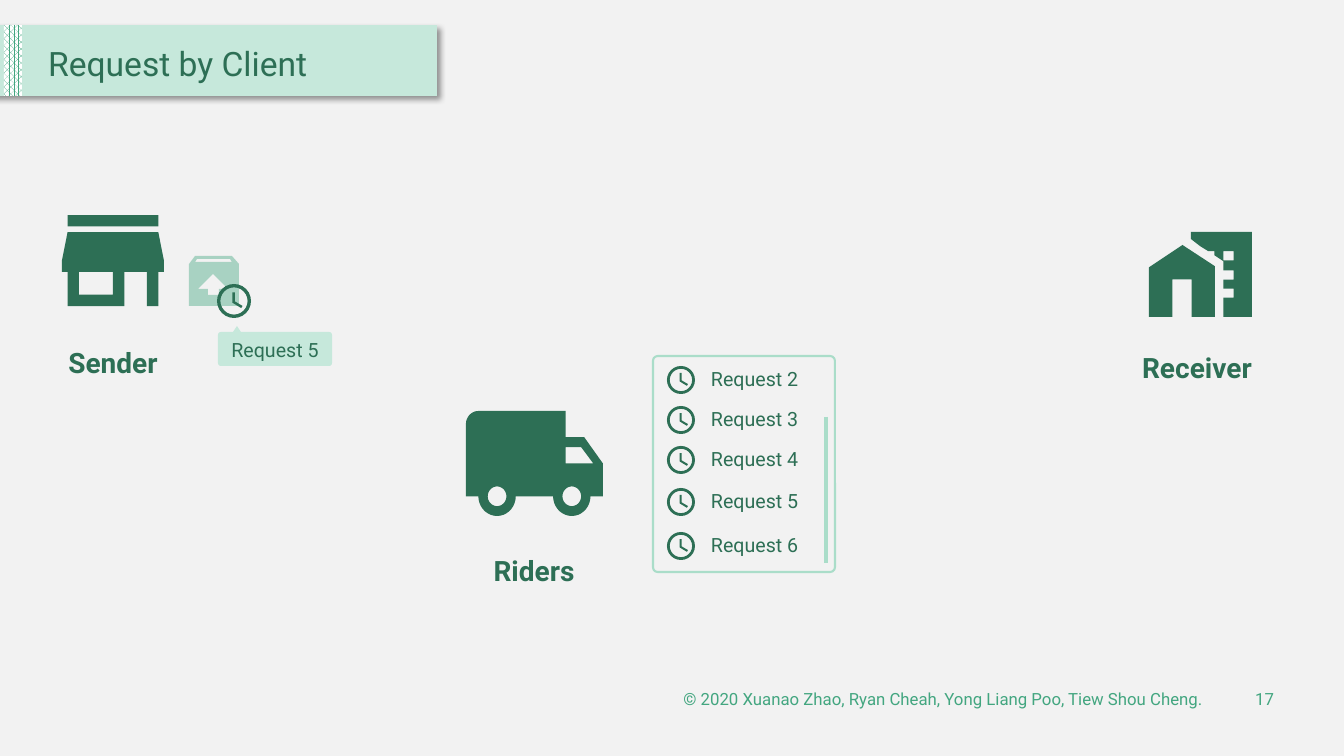
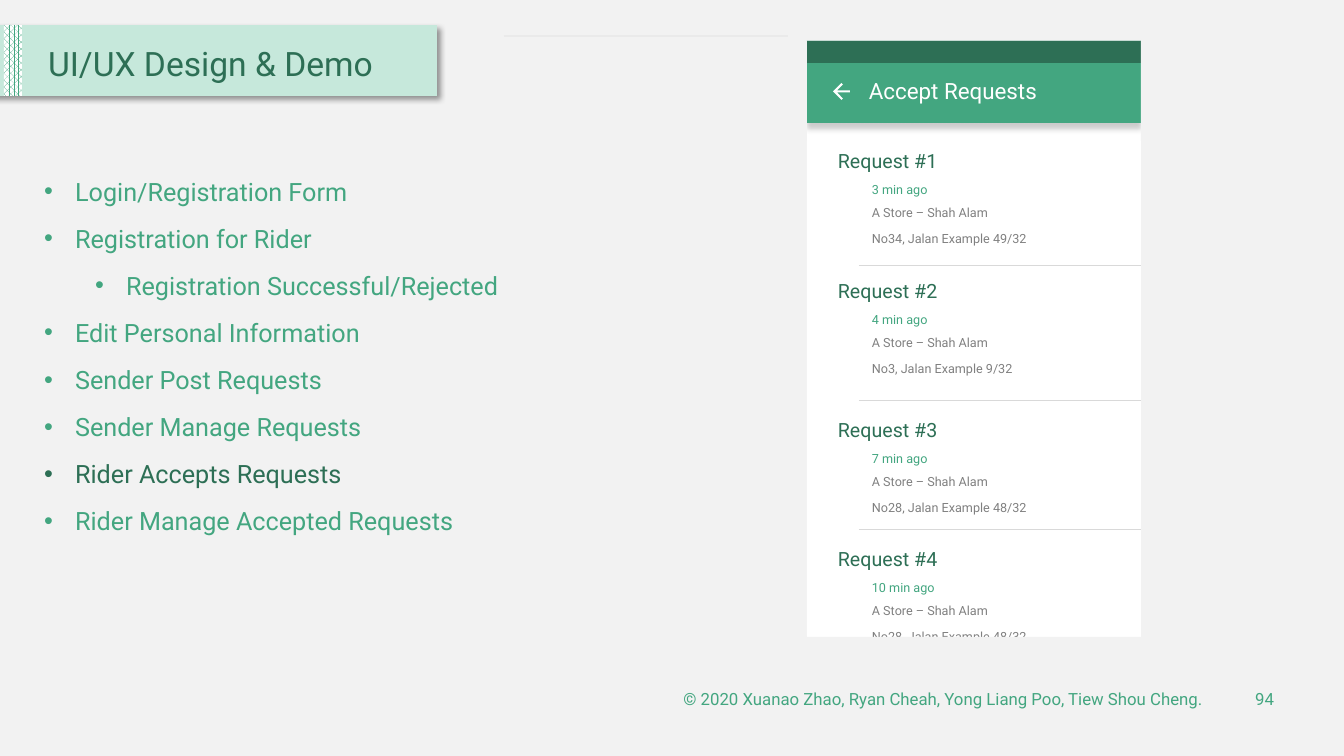
from math import cos, radians, sin

from lxml import etree
from pptx import Presentation
from pptx import util as u
from pptx.dml.color import RGBColor
from pptx.enum import dml, shapes, text
from pptx.oxml import ns

EMU_PER_PX = 914400 / 100.8
FONT = "Roboto"
COPYRIGHT = "© 2020 Xuanao Zhao, Ryan Cheah, Yong Liang Poo, Tiew Shou Cheng."
COLORS = {
    "page": "F2F2F2", "dark": "2D6F55", "green": "43A680", "mint": "C6E8DB",
    "frame": "AADDC9", "white": "FFFFFF", "gray": "808080", "rule": "D9D9D9",
    "edge": "EAEAEA", "black": "000000",
}
LEFT, CENTER, RIGHT = text.PP_ALIGN.LEFT, text.PP_ALIGN.CENTER, text.PP_ALIGN.RIGHT
TOP, MIDDLE = text.MSO_ANCHOR.TOP, text.MSO_ANCHOR.MIDDLE


def px(length):
    return u.Emu(round(length * EMU_PER_PX))


def rgb(color):
    return RGBColor.from_string(COLORS[color])


def sub(parent, tag, **attributes):
    return etree.SubElement(parent, ns.qn(tag), {k: str(v) for k, v in attributes.items()})


def arc(cx, cy, radius, start, end, step=10):
    """Points on a circle; angles in degrees, clockwise from the right."""
    step = step if end > start else -step
    return [(cx + radius * cos(radians(a)), cy + radius * sin(radians(a)))
            for a in range(start, end + step, step)]


# Icon outlines, each on its own grid
STORE = [
    [(1, 0), (17, 0), (17, 2), (1, 2)],
    [(18, 10), (18, 8), (17, 3), (1, 3), (0, 8), (0, 10), (1, 10), (1, 16),
     (11, 16), (11, 10), (15, 10), (15, 16), (17, 16), (17, 10)],
    [(9, 14), (3, 14), (3, 10), (9, 10)],
]
PARCEL = [
    [(43, 0), (6, 0), (0, 8), (0, 50), (50, 50), (50, 8)],
    [(30, 33), (30, 39), (19, 39), (19, 33), (9, 33), (24, 18), (39, 33)],
    [(6, 6), (8, 3), (41, 3), (43, 6)],
]
HOUSE = [[(33, 0), (0, 22), (0, 71), (23, 71), (23, 34), (42, 34), (42, 71), (65, 71), (65, 21)]]
OFFICE = [
    [(0, 0), (0, 7), (9, 14), (17, 19), (23, 19), (23, 23), (32, 29), (32, 38), (42, 38),
     (42, 47), (32, 47), (32, 56), (42, 56), (42, 65), (32, 65), (32, 84), (60, 84), (60, 0)],
    [(42, 28), (32, 28), (32, 19), (42, 19)],
]
TRUCK = [
    [(19, 4), (16, 4), (16, 0), *arc(2, 2, 2, 270, 180), (0, 13), *arc(5, 13, 3, 180, 0),
     *arc(17, 13, 3, 180, 0), (22, 13), (22, 8)],
    [(18.5, 5.5), (20.46, 8), (16, 8), (16, 5.5)],
    arc(5, 13, 1.5, 0, 350),
    arc(17, 13, 1.5, 0, 350),
]
CLOCK_HANDS = [[(10.5, 5), (9, 5), (9, 11), (14.25, 14.15), (15, 12.92), (10.5, 10.25)]]
BACK_ARROW = [[(16, 7), (3.83, 7), (9.42, 1.41), (8, 0), (0, 8), (8, 16),
               (9.41, 14.59), (3.83, 9), (16, 9)]]
CALLOUT = [[(19, 0), (23, 6), *arc(111, 9, 3, 270, 360), *arc(111, 37, 3, 0, 90),
            *arc(3, 37, 3, 90, 180), *arc(3, 9, 3, 180, 270), (15, 6)]]


# Drawing helpers
def paint(shape, color):
    shape.shadow.inherit = False
    shape.line.fill.background()
    if color:
        shape.fill.solid()
        shape.fill.fore_color.rgb = rgb(color)
    else:
        shape.fill.background()
    return shape


def block(slide, box, color, preset=shapes.MSO_SHAPE.RECTANGLE):
    return paint(slide.shapes.add_shape(preset, *map(px, box)), color)


def cast_shadow(shape, color, distance, direction):
    effects = shape.element.spPr.find(ns.qn("a:effectLst"))
    outer = sub(effects, "a:outerShdw", blurRad=u.Pt(4), dist=u.Pt(distance),
                dir=direction * 60000, algn="tl", rotWithShape=0)
    sub(sub(outer, "a:srgbClr", val=COLORS[color]), "a:alpha", val=40000)


def outline(slide, box, grid, contours, color):
    left, top, width, height = box
    scaled = [[(px(x * width / grid[0]), px(y * height / grid[1])) for x, y in contour]
              for contour in contours]
    builder = slide.shapes.build_freeform(*scaled[0][0], scale=1.0)
    for index, points in enumerate(scaled):
        if index:
            builder.move_to(*points[0])
        builder.add_line_segments(points[1:], close=True)
    return paint(builder.convert_to_shape(px(left), px(top)), color)


def rule(slide, start, end, color, width):
    line = slide.shapes.add_connector(shapes.MSO_CONNECTOR.STRAIGHT, *map(px, start + end))
    line.line.color.rgb = rgb(color)
    line.line.width = u.Pt(width)
    sub(line.element.spPr, "a:effectLst")


def add_run(paragraph, words, size, color, bold=False):
    run = paragraph.add_run()
    run.text = words
    run.font.name, run.font.size, run.font.bold = FONT, u.Pt(size), bold
    run.font.color.rgb = rgb(color)


def label(slide, box, words, size, color, align=LEFT, anchor=TOP, bold=False):
    frame = slide.shapes.add_textbox(*map(px, box)).text_frame
    frame.word_wrap = True
    frame.vertical_anchor = anchor
    frame.paragraphs[0].alignment = align
    add_run(frame.paragraphs[0], words, size, color, bold)


def place(placeholder, box, anchor):
    placeholder.left, placeholder.top, placeholder.width, placeholder.height = map(px, box)
    frame = placeholder.text_frame
    frame.auto_size = text.MSO_AUTO_SIZE.NONE
    frame.word_wrap = True
    frame.vertical_anchor = anchor
    return frame


# Shared parts
def set_up_master(prs, slide):
    master = prs.slide_master
    master.background.fill.solid()
    master.background.fill.fore_color.rgb = rgb("page")
    band = block(slide, (-21, 25, 458, 71), "mint")
    cast_shadow(band, "black", 3, 45)
    stripe = block(slide, (4, 25, 18, 71), None)
    stripe.fill.patterned()
    stripe.fill.pattern = dml.MSO_PATTERN.PERCENT_70
    stripe.fill.fore_color.rgb = rgb("green")
    stripe.fill.back_color.rgb = rgb("white")
    for number, part in enumerate((band, stripe), start=20):
        part.element.nvSpPr.cNvPr.set("id", str(number))
        master.shapes.element.append(part.element)


def title_and_footer(slide, title, page):
    paragraph = place(slide.shapes.title, (38, 36, 399, 60), MIDDLE).paragraphs[0]
    paragraph.alignment = LEFT
    paragraph.line_spacing = 0.9
    add_run(paragraph, title, 24, "dark")
    label(slide, (549, 679, 664, 40), COPYRIGHT, 12, "green", RIGHT, MIDDLE)
    label(slide, (1225, 679, 59, 40), page, 12, "green", RIGHT, MIDDLE)


# Request by Client
def clock(slide, left, top, size):
    ring = block(slide, (left, top, size, size), "dark", shapes.MSO_SHAPE.DONUT)
    ring.adjustments[0] = 0.1
    outline(slide, (left, top, size, size), (20, 20), CLOCK_HANDS, "dark")


def sender(slide, left, top):
    outline(slide, (left, top, 102, 91), (18, 16), STORE, "dark")
    label(slide, (left - 17, top + 126, 136, 44), "Sender", 20, "dark", CENTER, bold=True)
    parcel = outline(slide, (left + 127, top + 41, 50, 50), (50, 50), PARCEL, "green")
    sub(parcel.element.spPr.find(".//" + ns.qn("a:srgbClr")), "a:alpha", val=42000)
    clock(slide, left + 155, top + 69, 34)
    callout = outline(slide, (left + 156, top + 111, 114, 40), (114, 40), CALLOUT, "mint")
    frame = callout.text_frame
    frame.word_wrap = False
    frame.vertical_anchor = text.MSO_ANCHOR.BOTTOM
    frame.paragraphs[0].alignment = CENTER
    add_run(frame.paragraphs[0], "Request 5", 14, "dark")


def receiver(slide, left, top):
    outline(slide, (left, top + 13, 66, 72), (65, 71), HOUSE, "dark")
    outline(slide, (left + 42, top, 61, 85), (60, 84), OFFICE, "dark")
    label(slide, (left - 26, top + 114, 148, 42), "Receiver", 20, "dark", CENTER, bold=True)


def riders(slide, left, top):
    outline(slide, (left, top, 137, 105), (22, 16), TRUCK, "dark")
    label(slide, (left + 11, top + 138, 114, 42), "Riders", 20, "dark", CENTER, bold=True)


def request_queue(slide, left, top):
    frame = block(slide, (left, top, 182, 216), None, shapes.MSO_SHAPE.ROUNDED_RECTANGLE)
    frame.adjustments[0] = 0.026
    frame.line.color.rgb = rgb("frame")
    frame.line.width = u.Pt(1.5)
    for number, offset in enumerate((10, 50, 90, 132, 176), start=2):
        clock(slide, left + 14, top + offset, 28)
        label(slide, (left + 48, top + offset - 4, 126, 34), f"Request {number}", 14, "dark")
    rule(slide, (left + 173, top + 61), (left + 173, top + 207), "frame", 3)


def request_slide(slide):
    title_and_footer(slide, "Request by Client", "17")
    sender(slide, 62, 215)
    receiver(slide, 1149, 232)
    riders(slide, 466, 411)
    request_queue(slide, 653, 356)


# UI/UX Design & Demo
TOPICS = [
    ("Login/Registration Form", 0), ("Registration for Rider", 0),
    ("Registration Successful/Rejected", 1), ("Edit Personal Information", 0),
    ("Sender Post Requests", 0), ("Sender Manage Requests", 0),
    ("Rider Accepts Requests", 0), ("Rider Manage Accepted Requests", 0),
]
CURRENT_TOPIC = "Rider Accepts Requests"
# Top of each card within the phone, age, address
REQUESTS = [
    (103, "3 min ago", "No34, Jalan Example 49/32"),
    (233, "4 min ago", "No3, Jalan Example 9/32"),
    (372, "7 min ago", "No28, Jalan Example 48/32"),
    (501, "10 min ago", "No28, Jalan Example 48/32"),
]


def topic_list(placeholder, box):
    frame = place(placeholder, box, TOP)
    for index, (topic, level) in enumerate(TOPICS):
        paragraph = frame.add_paragraph() if index else frame.paragraphs[0]
        paragraph.level = level
        properties = paragraph._p.get_or_add_pPr()
        properties.set("marL", str(px(31 + 51 * level)))
        properties.set("indent", str(-px(31)))
        sub(properties, "a:buFont", typeface="Arial")
        sub(properties, "a:buChar", char="•")
        paragraph.space_before = u.Pt(12 if index else 0)
        add_run(paragraph, topic, 18, "dark" if topic == CURRENT_TOPIC else "green")


def request_card(slide, left, top, number, age, address):
    label(slide, (left, top, 203, 34), f"Request #{number}", 14, "dark")
    details = ((33, age, "green"), (56, "A Store – Shah Alam", "gray"), (82, address, "gray"))
    for offset, words, color in details:
        label(slide, (left + 34, top + offset, 258, 25), words, 9, color)


def phone(slide, left, top, width, height):
    block(slide, (left, top, width, height), "white")
    for number, (offset, age, address) in enumerate(REQUESTS, start=1):
        request_card(slide, left + 21, top + offset, number, age, address)
    for offset in (224, 359, 488):
        rule(slide, (left + 52, top + offset), (left + width, top + offset), "rule", 0.5)
    # App bar
    cast_shadow(block(slide, (left, top, width, 82), "green"), "gray", 4, 90)
    block(slide, (left, top, width, 22), "dark")
    label(slide, (left + 52, top + 31, 240, 37), "Accept Requests", 16, "white", anchor=MIDDLE)
    outline(slide, (left + 26, top + 42, 17, 17), (16, 16), BACK_ARROW, "white")
    # Page-coloured edges crop the shadow and the last card
    block(slide, (left - 10, top, 10, 100), "page")
    block(slide, (left + width, top, 10, 100), "page")
    block(slide, (left, top + height, width, 20), "page")


def design_slide(slide):
    title_and_footer(slide, "UI/UX Design & Demo", "94")
    rule(slide, (504, 36), (788, 36), "edge", 0.75)
    phone(slide, 807, 41, 334, 596)
    topic_list(slide.placeholders[1], (34, 171, 485, 373))


def main():
    prs = Presentation()
    prs.slide_width, prs.slide_height = px(1344), px(756)
    title_only, title_and_content = prs.slide_layouts[5], prs.slide_layouts[1]
    request = prs.slides.add_slide(title_only)
    set_up_master(prs, request)
    request_slide(request)
    design_slide(prs.slides.add_slide(title_and_content))
    prs.save("out.pptx")


if __name__ == "__main__":
    main()
